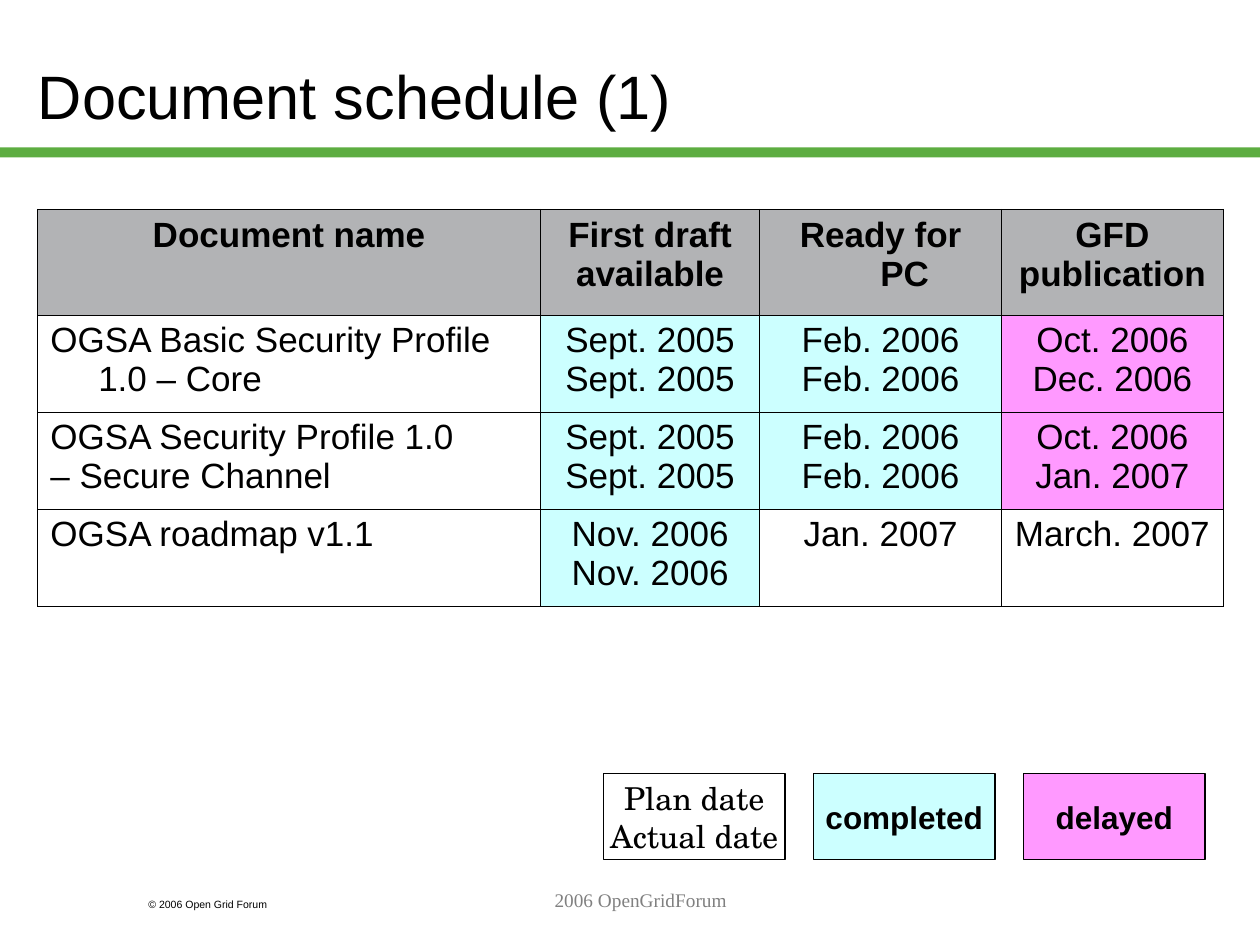
import pptx
import pptx.dml.color
import pptx.enum.shapes
import pptx.enum.text
import pptx.oxml
import pptx.oxml.ns
import pptx.util
from dataclasses import dataclass

ALIGN = pptx.enum.text.PP_ALIGN
ANCHOR = pptx.enum.text.MSO_ANCHOR
UNIT = 0.1  # inches per grid column and row: 100 columns by 75 rows


@dataclass(frozen=True)
class Theme:
    ink: str = "000000"
    muted: str = "808080"
    rule: str = "5DAD41"
    header: str = "B2B3B5"
    completed: str = "CCFFFF"
    delayed: str = "FF99FF"
    sans: str = "Arial"
    legend_font: str = "TeX Gyre Schola"
    footer_font: str = "Times New Roman"
    title_size: float = 35
    table_size: float = 20
    legend_size: float = 18
    footer_size: float = 11
    copyright_size: float = 6
    border: float = 0.45
    outline: float = 0.75


def grid(count):
    return pptx.util.Inches(count * UNIT)


def rgb(value):
    return pptx.dml.color.RGBColor.from_string(value)


def paint(fill, color):
    if color is None:
        fill.background()
    else:
        fill.solid()
        fill.fore_color.rgb = rgb(color)


def write(frame, text, *, size, font, color, bold=False, align=ALIGN.LEFT, hanging=0):
    """Fill a text frame, one paragraph for each line of text."""
    for number, line in enumerate(text.split("\n")):
        paragraph = frame.add_paragraph() if number else frame.paragraphs[0]
        paragraph.alignment = align
        if hanging:
            properties = paragraph._p.get_or_add_pPr()
            properties.set("marL", str(grid(hanging)))
            properties.set("indent", str(-grid(hanging)))
        run = paragraph.add_run()
        run.text = line
        run.font.size = pptx.util.Pt(size)
        run.font.name = font
        run.font.bold = bold
        run.font.color.rgb = rgb(color)


def add_borders(cell, color, width):
    properties = cell._tc.get_or_add_tcPr()
    for position, side in enumerate(("lnL", "lnR", "lnT", "lnB")):
        properties.insert(position, pptx.oxml.parse_xml(
            f'<a:{side} {pptx.oxml.ns.nsdecls("a")} w="{pptx.util.Pt(width)}">'
            f'<a:solidFill><a:srgbClr val="{color}"/></a:solidFill></a:{side}>'))


class SlideBuilder:
    """Draws elements on one slide; lengths are grid columns and rows."""

    def __init__(self, presentation, theme):
        self.theme = theme
        self.slide = presentation.slides.add_slide(presentation.slide_layouts[5])

    def title(self, text, *box):
        heading = self.slide.shapes.title
        heading.left, heading.top, heading.width, heading.height = map(grid, box)
        heading.text_frame.vertical_anchor = ANCHOR.MIDDLE
        write(heading.text_frame, text, size=self.theme.title_size,
              font=self.theme.sans, color=self.theme.ink)

    def label(self, text, *box, **style):
        frame = self.slide.shapes.add_textbox(*map(grid, box)).text_frame
        frame.word_wrap = True
        write(frame, text, **style)

    def box(self, *box, fill=None, outlined=False):
        rectangle = self.slide.shapes.add_shape(
            pptx.enum.shapes.MSO_SHAPE.RECTANGLE, *map(grid, box))
        rectangle.shadow.inherit = False
        paint(rectangle.fill, fill)
        if outlined:
            rectangle.line.color.rgb = rgb(self.theme.ink)
            rectangle.line.width = pptx.util.Pt(self.theme.outline)
        else:
            rectangle.line.fill.background()
        return rectangle

    def legend(self, text, *box, fill=None, **style):
        frame = self.box(*box, fill=fill, outlined=True).text_frame
        frame.word_wrap = False
        frame.vertical_anchor = ANCHOR.MIDDLE
        write(frame, text, size=self.theme.legend_size, color=self.theme.ink,
              align=ALIGN.CENTER, **style)

    def table(self, rows, left, top, columns, heights):
        """Draw rows of (text, fill) pairs under a bold first row."""
        table = self.slide.shapes.add_table(
            len(rows), len(columns), grid(left), grid(top),
            grid(sum(columns)), grid(sum(heights))).table
        table.first_row = table.horz_banding = False
        for column, width in zip(table.columns, columns):
            column.width = grid(width)
        for y, (entries, height) in enumerate(zip(rows, heights)):
            table.rows[y].height = grid(height)
            for x, (text, fill) in enumerate(entries):
                cell = table.cell(y, x)
                paint(cell.fill, fill)
                add_borders(cell, self.theme.ink, self.theme.border)
                name_cell = x == 0 and y > 0
                write(cell.text_frame, text, size=self.theme.table_size,
                      font=self.theme.sans, color=self.theme.ink, bold=y == 0,
                      align=ALIGN.LEFT if name_cell else ALIGN.CENTER, hanging=3.8)


def main():
    presentation = pptx.Presentation()
    presentation.slide_width, presentation.slide_height = grid(100), grid(75)
    theme = Theme()
    page = SlideBuilder(presentation, theme)

    page.box(0, 11.7, 100, 0.8, fill=theme.rule)
    page.label("© 2006 Open Grid Forum", 10.8, 70.8, 15, 2,
               size=theme.copyright_size, font=theme.sans, color=theme.ink)
    page.title("Document schedule (1)", 2, 1.3, 85, 12.5)

    headings = ("Document name", "First draft\navailable", "Ready for PC",
                "GFD\npublication")
    done, late = theme.completed, theme.delayed
    first_draft = ("Sept. 2005\nSept. 2005", done)
    ready = ("Feb. 2006\nFeb. 2006", done)
    schedule = [
        [(heading, theme.header) for heading in headings],
        [("OGSA Basic Security Profile 1.0 – Core", None), first_draft, ready,
         ("Oct. 2006\nDec. 2006", late)],
        [("OGSA Security Profile 1.0\n– Secure Channel", None), first_draft, ready,
         ("Oct. 2006\nJan. 2007", late)],
        [("OGSA roadmap v1.1", None), ("Nov. 2006\nNov. 2006", done),
         ("Jan. 2007", None), ("March. 2007", None)],
    ]
    page.table(schedule, 3, 16.6, (39.9, 17.4, 19.2, 17.6), (8.4, 7.7, 7.7, 7.7))

    legends = (
        ("Plan date\nActual date", None, theme.legend_font, False),
        ("completed", done, theme.sans, True),
        ("delayed", late, theme.sans, True),
    )
    for position, (text, fill, font, bold) in enumerate(legends):
        page.legend(text, 47.9 + 16.67 * position, 61.4, 14.4, 6.8,
                    fill=fill, font=font, bold=bold)

    page.label("2006 OpenGridForum", 21.7, 70, 58.3, 5, size=theme.footer_size,
               font=theme.footer_font, color=theme.muted, align=ALIGN.CENTER)
    presentation.save("out.pptx")


if __name__ == "__main__":
    main()
